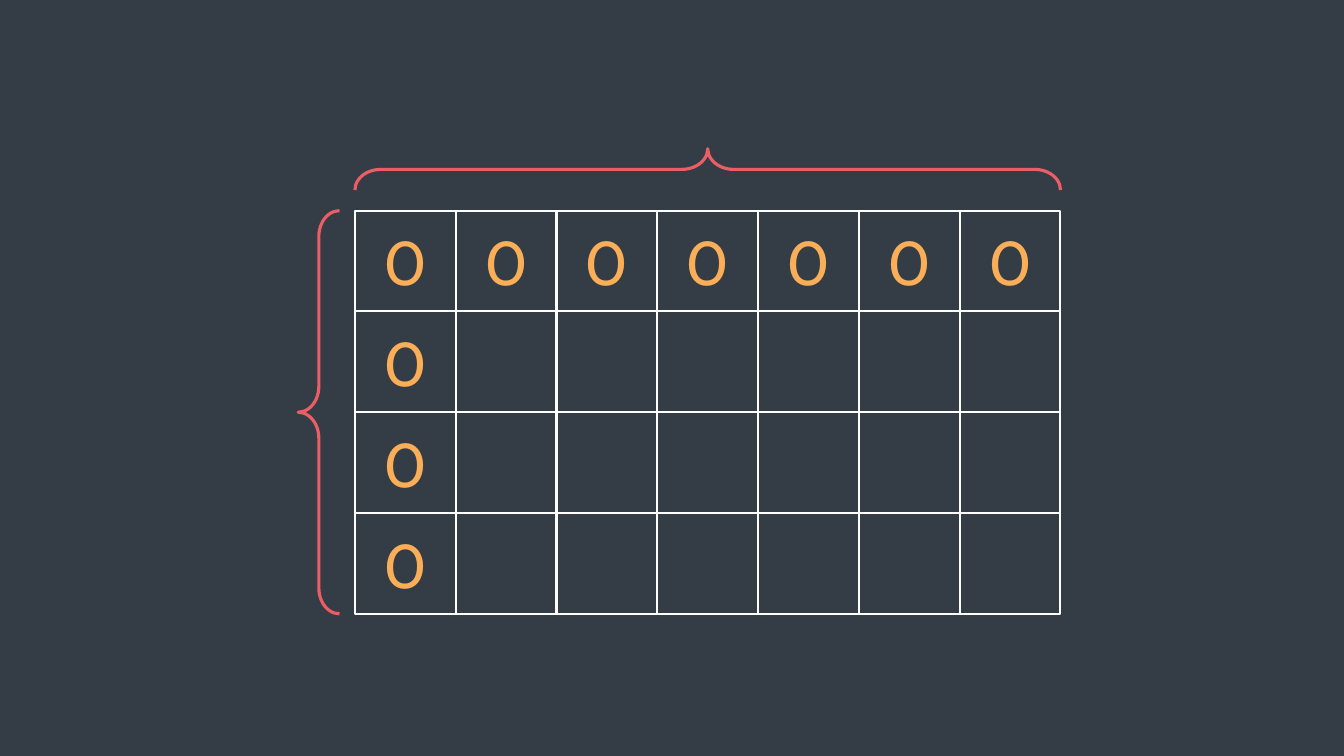
from dataclasses import dataclass
from itertools import product

from pptx import Presentation
from pptx.dml.color import RGBColor
from pptx.enum import shapes, text
from pptx.util import Pt


@dataclass(frozen=True)
class Theme:
    background: str = "343D46"
    grid: str = "FFFFFF"
    digit: str = "F9AE57"
    brace: str = "EC5E66"
    font: str = "Cabin"
    digit_size: float = 44
    grid_line: float = 1.5
    brace_line: float = 2.25


THEME = Theme()

# Grid geometry, in points
ROWS, COLUMNS = 4, 7
CELL = 72
GRID_LEFT, GRID_TOP = 253.5, 150.5
BRACE_DEPTH = 29.5
ROW_BRACE_LEFT = 213
COLUMN_BRACE_MIDDLE = 121


def add_outline(slide, kind, left, top, width, height, color, weight):
    """Add an unfilled preset shape with a plain outline."""
    outline = slide.shapes.add_shape(kind, Pt(left), Pt(top), Pt(width), Pt(height))
    outline.shadow.inherit = False
    outline.fill.background()
    outline.line.color.rgb = RGBColor.from_string(color)
    outline.line.width = Pt(weight)
    return outline


def add_cell(slide, row, column):
    return add_outline(slide, shapes.MSO_SHAPE.RECTANGLE,
                       GRID_LEFT + column * CELL, GRID_TOP + row * CELL,
                       CELL, CELL, THEME.grid, THEME.grid_line)


def write_digit(cell, digit):
    frame = cell.text_frame
    frame.vertical_anchor = text.MSO_ANCHOR.MIDDLE
    paragraph = frame.paragraphs[0]
    paragraph.alignment = text.PP_ALIGN.CENTER
    run = paragraph.add_run()
    run.text = digit
    run.font.name = THEME.font
    run.font.size = Pt(THEME.digit_size)
    run.font.color.rgb = RGBColor.from_string(THEME.digit)


def add_brace(slide, left, top, length, rotation=0):
    brace = add_outline(slide, shapes.MSO_SHAPE.LEFT_BRACE, left, top,
                        BRACE_DEPTH, length, THEME.brace, THEME.brace_line)
    brace.adjustments[0] = 0.625
    brace.adjustments[1] = 0.5
    brace.rotation = rotation


def main():
    deck = Presentation()
    deck.slide_width, deck.slide_height = Pt(960), Pt(540)
    slide = deck.slides.add_slide(deck.slide_layouts[6])
    slide.background.fill.solid()
    slide.background.fill.fore_color.rgb = RGBColor.from_string(THEME.background)

    # Grid with zeros along the first row and column
    for row, column in product(range(ROWS), range(COLUMNS)):
        cell = add_cell(slide, row, column)
        if row == 0 or column == 0:
            write_digit(cell, "0")

    # Brace beside the rows
    add_brace(slide, ROW_BRACE_LEFT, GRID_TOP, ROWS * CELL)

    # Brace above the columns, turned about its centre
    span = COLUMNS * CELL
    add_brace(slide, GRID_LEFT + (span - BRACE_DEPTH) / 2,
              COLUMN_BRACE_MIDDLE - span / 2, span, rotation=90)

    deck.save("out.pptx")


if __name__ == "__main__":
    main()
